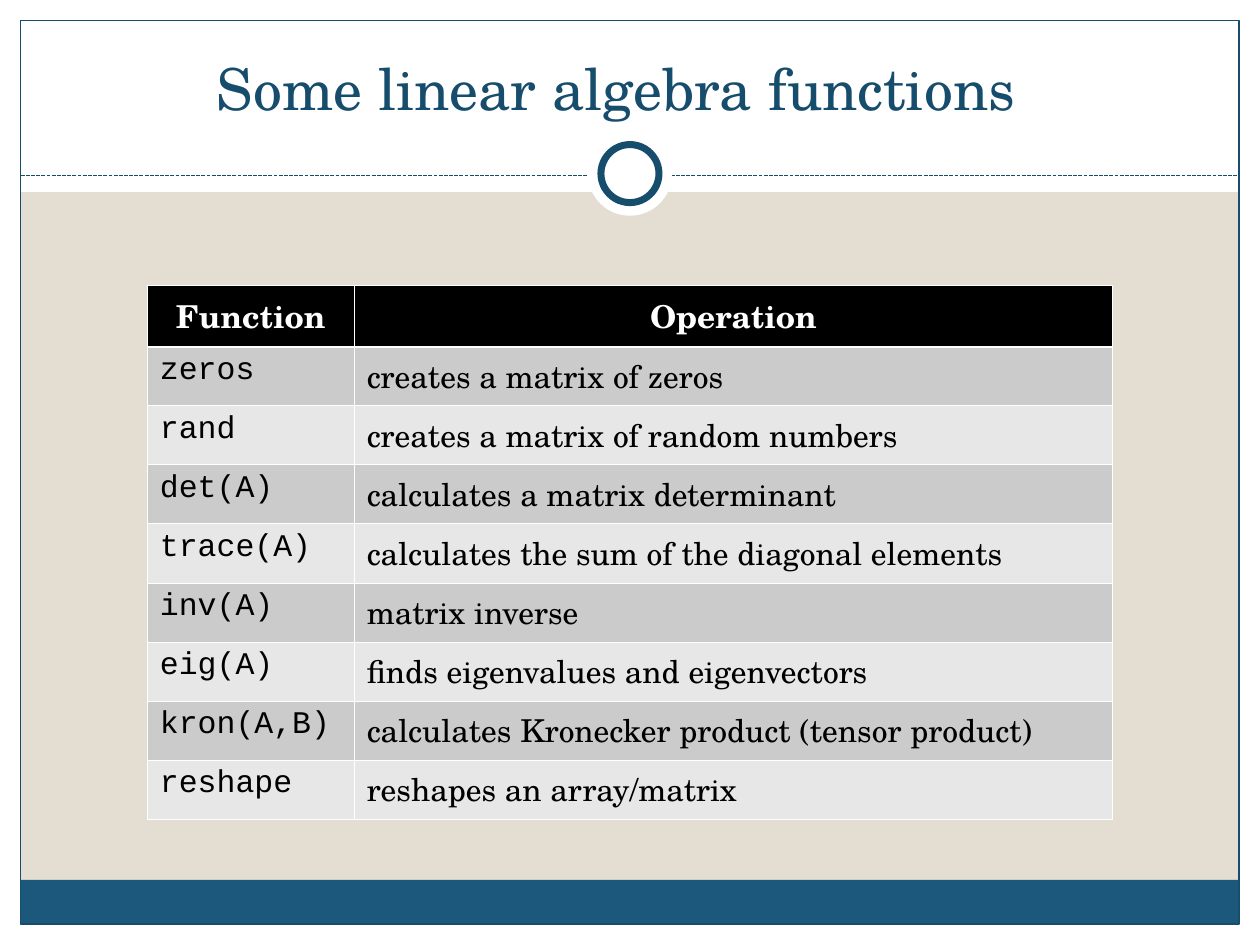
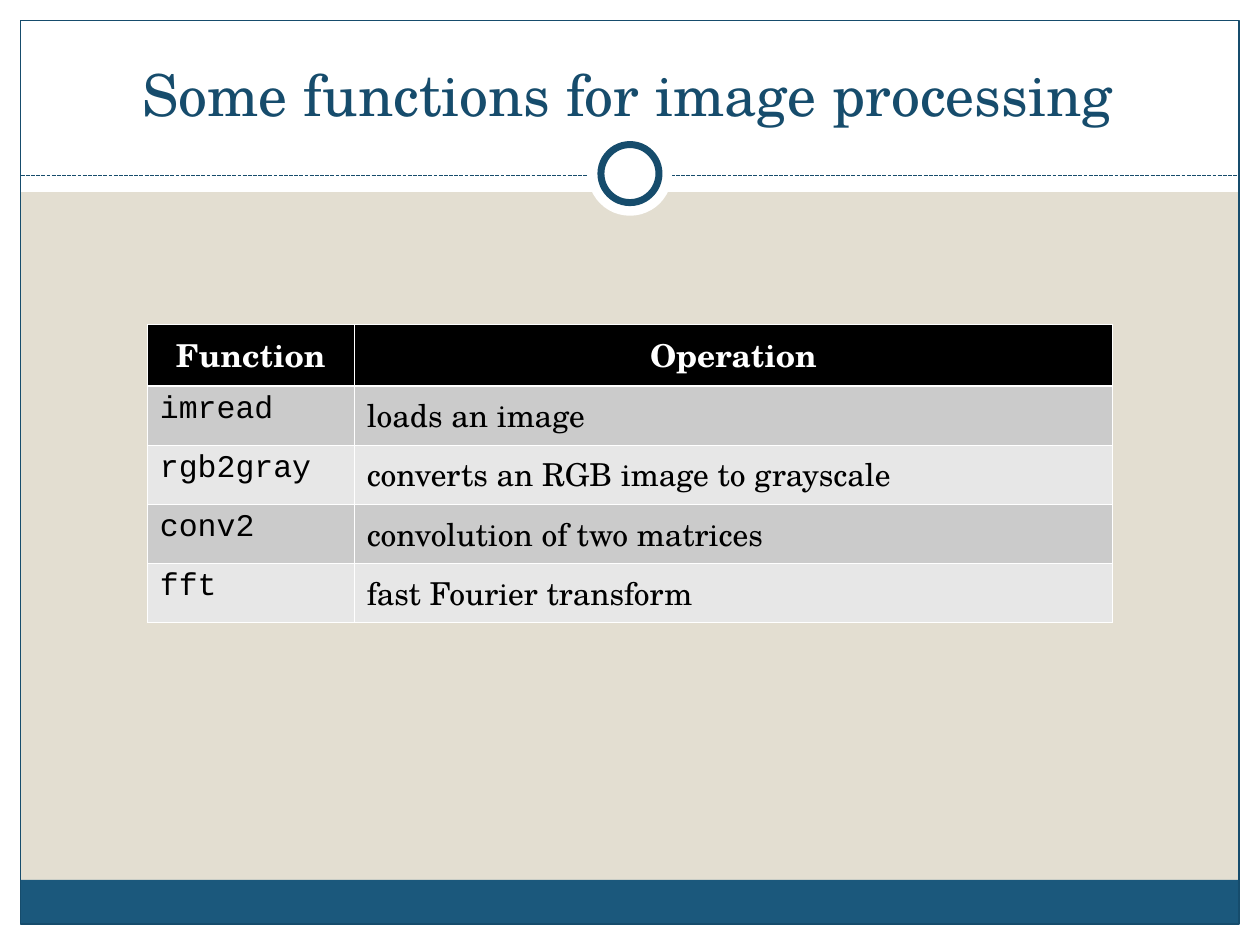
from lxml import etree
from pptx import Presentation
from pptx.dml.color import RGBColor
from pptx.enum.dml import MSO_LINE
from pptx.enum.shapes import MSO_CONNECTOR, MSO_SHAPE
from pptx.enum.text import MSO_ANCHOR, PP_ALIGN
from pptx.oxml.ns import qn
from pptx.util import Cm, Pt

RECTANGLE, OVAL = MSO_SHAPE.RECTANGLE, MSO_SHAPE.OVAL
STRAIGHT = MSO_CONNECTOR.STRAIGHT
DASH = MSO_LINE.SQUARE_DOT
CENTER, LEFT = PP_ALIGN.CENTER, PP_ALIGN.LEFT
BOTTOM = MSO_ANCHOR.BOTTOM

SAND = RGBColor(0xE3, 0xDE, 0xD1)
WHITE = RGBColor(0xFF, 0xFF, 0xFF)
BLACK = RGBColor(0x00, 0x00, 0x00)
BLUE = RGBColor(0x1B, 0x58, 0x7C)
NAVY = RGBColor(0x16, 0x4C, 0x6C)
DARK_GRAY = RGBColor(0xCB, 0xCB, 0xCB)
LIGHT_GRAY = RGBColor(0xE7, 0xE7, 0xE7)

SERIF, MONO = "TeX Gyre Schola", "Courier New"
WIDTH, HEIGHT, MARGIN = 25.4, 19.05, 0.42
HEADER = ("Function", "Operation")
COLUMN_WIDTHS = (4.17, 15.29)
HEADER_HEIGHT, ROW_HEIGHT = 1.24, 1.19
THIN, THICK = Pt(0.45), Pt(1.47)

LINEAR_ALGEBRA = [
    ("zeros", "creates a matrix of zeros"),
    ("rand", "creates a matrix of random numbers"),
    ("det(A)", "calculates a matrix determinant"),
    ("trace(A)", "calculates the sum of the diagonal elements"),
    ("inv(A)", "matrix inverse"),
    ("eig(A)", "finds eigenvalues and eigenvectors"),
    ("kron(A,B)", "calculates Kronecker product (tensor product)"),
    ("reshape", "reshapes an array/matrix"),
]
IMAGE_PROCESSING = [
    ("imread", "loads an image"),
    ("rgb2gray", "converts an RGB image to grayscale"),
    ("conv2", "convolution of two matrices"),
    ("fft", "fast Fourier transform"),
]


def add_figure(slide, kind, box, fill=None, line=None, weight=0.75):
    """Add a preset shape with an optional fill and outline."""
    figure = slide.shapes.add_shape(kind, *map(Cm, box))
    figure.shadow.inherit = False
    if fill is None:
        figure.fill.background()
    else:
        figure.fill.solid()
        figure.fill.fore_color.rgb = fill
    if line is None:
        figure.line.fill.background()
    else:
        figure.line.color.rgb = line
        figure.line.width = Pt(weight)


def add_circle(slide, center, diameter, **style):
    """Add a white circle around a center point."""
    x, y = (value - diameter / 2 for value in center)
    add_figure(slide, OVAL, (x, y, diameter, diameter), WHITE, **style)


def add_frame(slide):
    """Add the white margins, footer band, outline and ringed divider."""
    inner_width = WIDTH - 2 * MARGIN
    right, bottom = WIDTH - MARGIN, HEIGHT - MARGIN
    for edge in (
        (0, bottom, WIDTH, MARGIN),
        (0, 0, WIDTH, 3.87),
        (0, 0, MARGIN, HEIGHT),
        (right, 0, MARGIN, HEIGHT),
    ):
        add_figure(slide, RECTANGLE, edge, WHITE)
    add_figure(slide, RECTANGLE, (MARGIN, 17.74, inner_width, 0.87), BLUE)
    add_figure(slide, RECTANGLE, (MARGIN, MARGIN, inner_width, HEIGHT - 2 * MARGIN), line=NAVY)

    divider = slide.shapes.add_connector(STRAIGHT, Cm(MARGIN), Cm(3.54), Cm(right), Cm(3.54))
    divider.line.color.rgb = NAVY
    divider.line.width = Pt(0.75)
    divider.line.dash_style = DASH
    etree.SubElement(divider._element.spPr, qn("a:effectLst"))

    ring_center = (WIDTH / 2, 3.5)
    add_circle(slide, ring_center, 1.7)
    add_circle(slide, ring_center, 1.17, line=NAVY, weight=4)


def style_paragraph(paragraph, font, size, color, align, bold=False):
    """Set the alignment and run fonts of a paragraph."""
    paragraph.alignment = align
    for run in paragraph.runs:
        run.font.name = font
        run.font.size = Pt(size)
        run.font.bold = bold
        run.font.color.rgb = color


def add_title(slide, title, box):
    """Add the centered title at the bottom of its box."""
    frame = slide.shapes.add_textbox(*map(Cm, box)).text_frame
    frame.word_wrap = True
    frame.vertical_anchor = BOTTOM
    frame.text = title
    style_paragraph(frame.paragraphs[0], SERIF, 33, NAVY, CENTER)


def set_borders(cell, top, bottom):
    """Give a cell white borders, thin at the sides."""
    properties = cell._tc.get_or_add_tcPr()
    weights = {"a:lnL": THIN, "a:lnR": THIN, "a:lnT": top, "a:lnB": bottom}
    for position, (side, weight) in enumerate(weights.items()):
        border = etree.Element(qn(side), w=str(int(weight)))
        fill = etree.SubElement(border, qn("a:solidFill"))
        etree.SubElement(fill, qn("a:srgbClr"), val=str(WHITE))
        properties.insert(position, border)


def add_function_table(slide, functions, left, top):
    """Add a table of function names and what they do."""
    entries = [HEADER, *functions]
    table = slide.shapes.add_table(
        len(entries), len(HEADER), Cm(left), Cm(top),
        Cm(sum(COLUMN_WIDTHS)), Cm(HEADER_HEIGHT + ROW_HEIGHT * len(functions)),
    ).table
    for column, width in zip(table.columns, COLUMN_WIDTHS):
        column.width = Cm(width)
    for r, entry in enumerate(entries):
        is_header = r == 0
        table.rows[r].height = Cm(HEADER_HEIGHT if is_header else ROW_HEIGHT)
        band = BLACK if is_header else (LIGHT_GRAY, DARK_GRAY)[r % 2]
        for c, content in enumerate(entry):
            cell = table.cell(r, c)
            cell.text_frame.text = content
            style_paragraph(
                cell.text_frame.paragraphs[0],
                MONO if c == 0 and not is_header else SERIF,
                18,
                WHITE if is_header else BLACK,
                CENTER if is_header else LEFT,
                is_header,
            )
            cell.fill.solid()
            cell.fill.fore_color.rgb = band
            set_borders(cell, THICK if r == 1 else THIN, THICK if is_header else THIN)


def add_function_slide(deck, title, title_box, functions, table_top):
    """Add a framed slide with a title and a function table."""
    slide = deck.slides.add_slide(deck.slide_layouts[6])
    slide.background.fill.solid()
    slide.background.fill.fore_color.rgb = SAND
    add_frame(slide)
    add_title(slide, title, title_box)
    add_function_table(slide, functions, 2.97, table_top)


def main():
    """Build and save the deck."""
    deck = Presentation()
    deck.slide_width, deck.slide_height = Cm(WIDTH), Cm(HEIGHT)
    add_function_slide(
        deck, "Some linear algebra functions", (0.99, -0.59, 22.86, 3.18),
        LINEAR_ALGEBRA, 5.75,
    )
    add_function_slide(
        deck, "Some functions for image processing", (0.8, 0.59, 23.7, 2.11),
        IMAGE_PROCESSING, 6.54,
    )
    deck.save("out.pptx")


if __name__ == "__main__":
    main()
